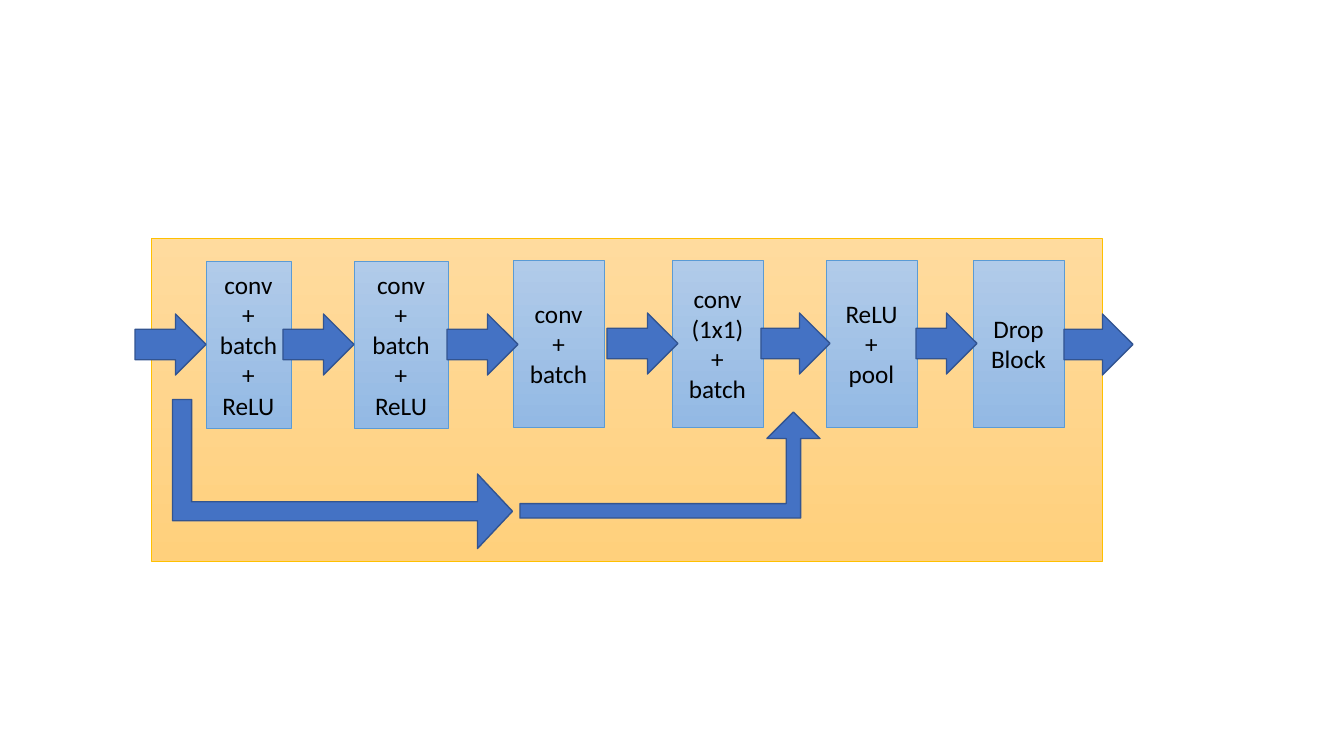
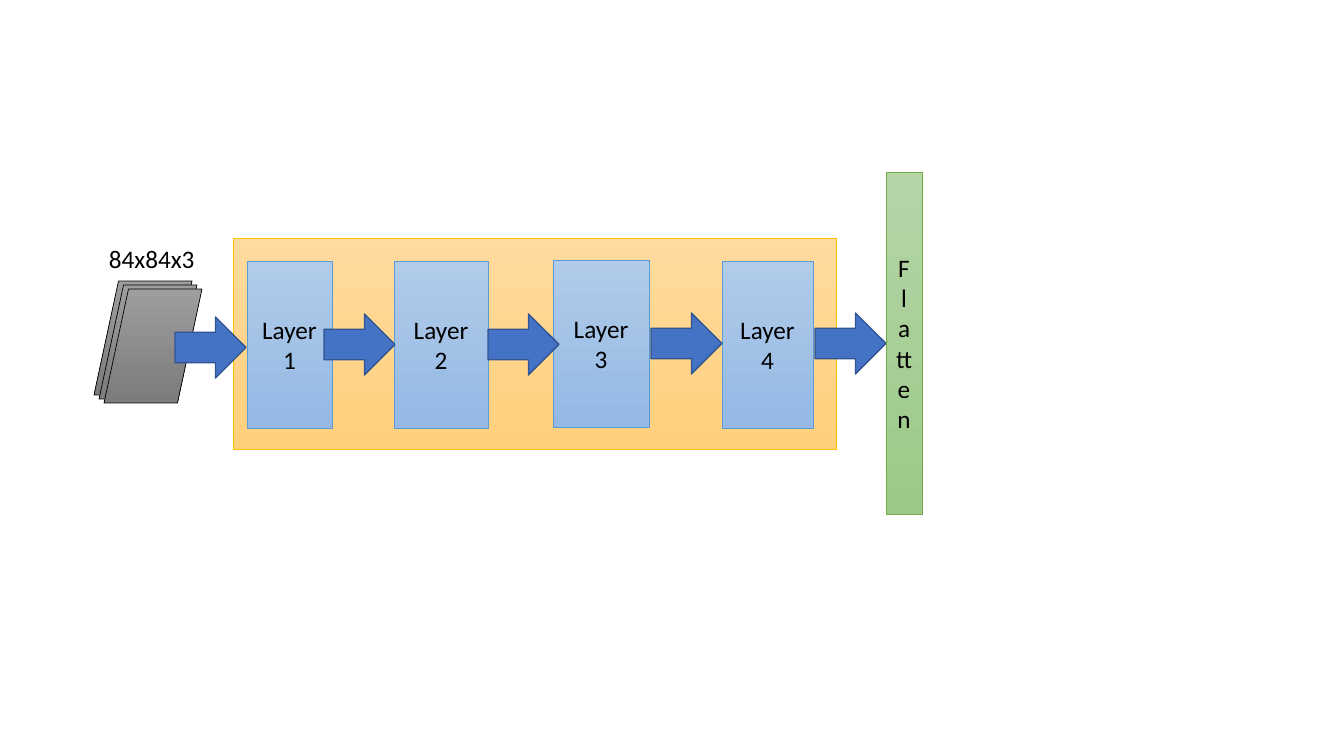
from pptx import Presentation
from pptx.dml.color import RGBColor
from pptx.enum.shapes import MSO_SHAPE
from pptx.enum.text import MSO_ANCHOR, MSO_AUTO_SIZE, PP_ALIGN
from pptx.util import Emu, Pt

PIXEL = 914400 / 100.8
BLACK = RGBColor(0x00, 0x00, 0x00)
ARROW_BLUE = RGBColor(0x44, 0x72, 0xC4)
ARROW_EDGE = RGBColor(0x32, 0x54, 0x91)
ORANGE = (RGBColor(0xFF, 0xDB, 0x9E), RGBColor(0xFF, 0xD0, 0x7C), RGBColor(0xFF, 0xC0, 0x00))
BLUE = (RGBColor(0xB1, 0xCB, 0xE9), RGBColor(0x93, 0xB9, 0xE4), RGBColor(0x5B, 0x9B, 0xD5))
GREEN = (RGBColor(0xB5, 0xD5, 0xA7), RGBColor(0x9C, 0xC9, 0x87), RGBColor(0x70, 0xAD, 0x47))
GRAY = (RGBColor(0x9D, 0x9D, 0x9D), RGBColor(0x7C, 0x7C, 0x7C), BLACK)
FONT = {"name": "Calibri", "size": Pt(18)}
CENTERED = {"word_wrap": True, "vertical_anchor": MSO_ANCHOR.MIDDLE}
LABEL = {"word_wrap": False, "auto_size": MSO_AUTO_SIZE.SHAPE_TO_FIT_TEXT}
BLOCK_HEIGHT = 167
ARROW_HEIGHT = 61


def px(*lengths):
    """Turn pixel lengths into EMU."""
    return [Emu(round(length * PIXEL)) for length in lengths]


def apply_format(target, values):
    """Set every attribute named in values on the target."""
    for key, value in values.items():
        setattr(target, key, value)


def write(frame, text, frame_format, align):
    """Write one paragraph with line breaks into a text frame."""
    apply_format(frame, frame_format)
    paragraph = frame.paragraphs[0]
    paragraph.text = text
    paragraph.alignment = align
    for run in paragraph.runs:
        apply_format(run.font, FONT)
        run.font.color.rgb = BLACK


def outlined(shapes, kind, box, edge, weight):
    """Add a preset shape with an outline and no shadow."""
    shape = shapes.add_shape(kind, *px(*box))
    shape.shadow.inherit = False
    shape.line.color.rgb = edge
    shape.line.width = Pt(weight)
    return shape


def panel(shapes, box, palette, text="", kind=MSO_SHAPE.RECTANGLE):
    """Add a shape with a vertical gradient and optional centred text."""
    top_color, bottom_color, edge = palette
    shape = outlined(shapes, kind, box, edge, 0.5)
    shape.fill.gradient()
    shape.fill.gradient_angle = 270
    for stop, color in zip(shape.fill.gradient_stops, (top_color, bottom_color)):
        stop.color.rgb = color
    if text:
        write(shape.text_frame, text, CENTERED, PP_ALIGN.CENTER)


def arrow(shapes, box, kind=MSO_SHAPE.RIGHT_ARROW, adjustments=(0.5, 0.5), rotation=0):
    """Add a solid arrow."""
    shape = outlined(shapes, kind, box, ARROW_EDGE, 1)
    shape.fill.solid()
    shape.fill.fore_color.rgb = ARROW_BLUE
    shape.rotation = rotation
    for index, value in enumerate(adjustments):
        shape.adjustments[index] = value


def pipeline(shapes, box, blocks, arrows):
    """Draw a container whose blocks and arrows are offset from its corner."""
    left, top = box[:2]
    panel(shapes, box, ORANGE)
    for text, x, y, width in blocks:
        panel(shapes, (left + x, top + y, width, BLOCK_HEIGHT), BLUE, text)
    for x, y, width in arrows:
        arrow(shapes, (left + x, top + y, width, ARROW_HEIGHT))


def skip_connection(shapes, box):
    """Draw the two bent arrows that bypass the blocks."""
    left, top = box[:2]
    bent = MSO_SHAPE.BENT_UP_ARROW
    arrow(shapes, (left + 369, top + 174, 300, 106), bent, (0.136, 0.25, 0.25))
    arrow(shapes, (left + 117, top + 66, 149, 340), bent, (0.128, 0.25, 0.235), 90)


def input_image(shapes, box):
    """Draw the labelled stack of channels and the arrow leaving it."""
    left, top, width, height = box
    group = shapes.add_group_shape().shapes
    label = group.add_textbox(*px(left + 5, top - 43, 107, 40))
    write(label.text_frame, "84x84x3", LABEL, PP_ALIGN.LEFT)
    for channel in range(3):
        sheet = (left + 5 * channel, top + 4 * channel, width, height)
        panel(group, sheet, GRAY, kind=MSO_SHAPE.PARALLELOGRAM)
    arrow(group, (left + 81, top + 36, 71, ARROW_HEIGHT))


def residual_block_slide(shapes):
    """Build the slide that details one residual block."""
    container = (151, 238, 951, 323)
    blocks = [
        ("conv\n+\nbatch\n+\nReLU", 55, 23, 85),
        ("conv\n+\nbatch\n+\nReLU", 203, 23, 94),
        ("conv\n+\nbatch", 362, 22, 91),
        ("conv (1x1)\n+\nbatch", 521, 22, 91),
        ("ReLU\n+\npool", 675, 22, 91),
        ("Drop\nBlock", 822, 22, 91),
    ]
    arrows = [(-16, 76, 71), (132, 76, 71), (296, 76, 71), (456, 75, 71),
              (610, 75, 69), (765, 75, 61), (913, 76, 69)]
    pipeline(shapes, container, blocks, arrows)
    skip_connection(shapes, container)


def network_slide(shapes):
    """Build the slide that shows the whole network."""
    places = [(14, 23, 85), (161, 23, 94), (320, 22, 96), (489, 23, 91)]
    blocks = [(f"Layer\n{number}", *place) for number, place in enumerate(places, 1)]
    arrows = [(91, 76, 71), (255, 76, 71), (418, 75, 71), (582, 75, 71)]
    pipeline(shapes, (233, 238, 603, 211), blocks, arrows)
    panel(shapes, (886, 172, 36, 342), GREEN, "Flatten")
    input_image(shapes, (94, 281, 98, 114))


def main():
    """Build and save the presentation."""
    deck = Presentation()
    deck.slide_width, deck.slide_height = px(1344, 756)
    for build in (residual_block_slide, network_slide):
        build(deck.slides.add_slide(deck.slide_layouts[6]).shapes)
    deck.save("out.pptx")


main()
